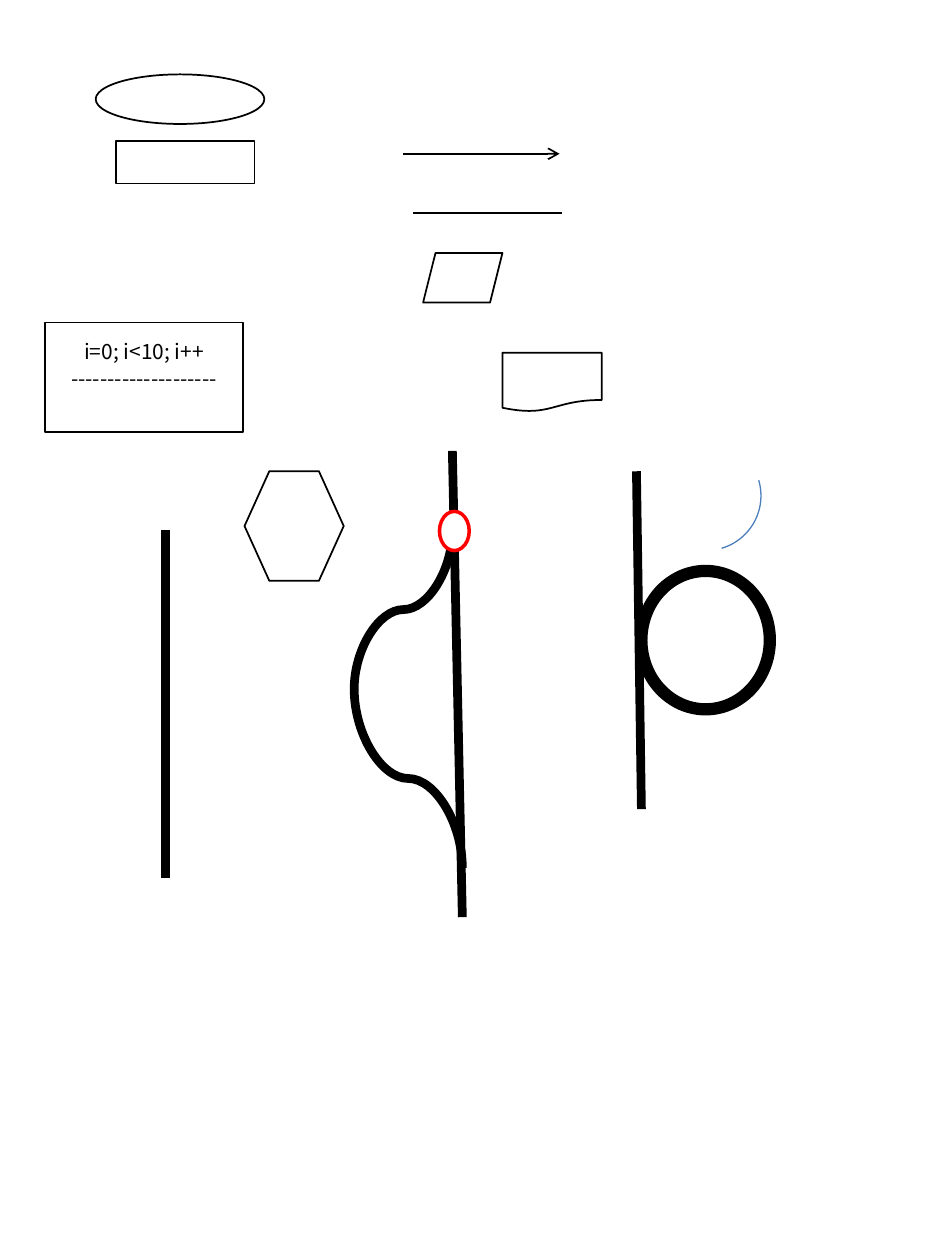
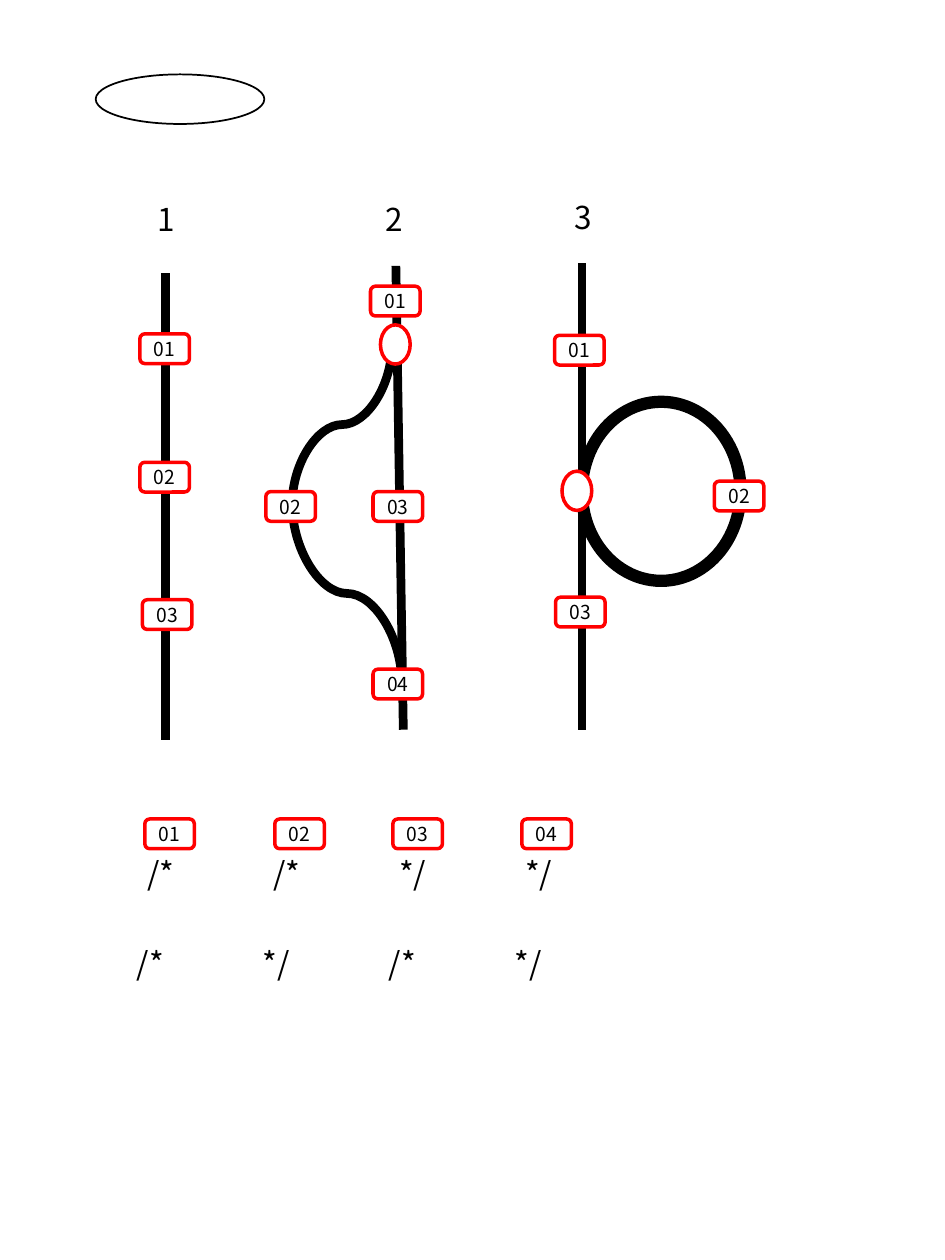
from dataclasses import dataclass

import pptx
import pptx.dml.color
import pptx.enum.shapes
import pptx.enum.text
import pptx.oxml.ns
import pptx.util

Cm, Pt = pptx.util.Cm, pptx.util.Pt
Preset = pptx.enum.shapes.MSO_SHAPE
Wire = pptx.enum.shapes.MSO_CONNECTOR
Align = pptx.enum.text.PP_ALIGN


@dataclass(frozen=True)
class Theme:
    ink: str = "000000"
    paper: str = "FFFFFF"
    accent: str = "FF0000"
    arc: str = "4B7EBC"
    font: str = "Noto Sans CJK KR"
    heading: float = 18
    code: float = 12
    label: float = 11
    hairline: float = 0.75
    thin: float = 1
    marker: float = 2
    track: float = 5
    loop: float = 7


THEME = Theme()

# All places are in centimetres.
START_OVAL = (1.93, 1.5, 3.4, 1)
NODE_SIZE = (0.6, 0.79)
BADGE_SIZE = (1, 0.6)

LOOP_CODE = ["i=0; i<10; i++", "--------------------"]
CODE_BOX = (0.91, 6.5, 3.99, 2.21)
SYMBOLS = [
    (Preset.RECTANGLE, (2.34, 2.84, 2.79, 0.86)),
    (Preset.FLOWCHART_DOCUMENT, (10.13, 7.11, 2, 1.19)),
    (Preset.PARALLELOGRAM, (8.53, 5.1, 1.6, 1)),
    (Preset.HEXAGON, (4.93, 9.5, 2, 2.21)),
]
FLOW_ARROW = (8.13, 3.1, 11.28, 3.1)
FLOW_LINE = (8.33, 4.29, 11.33, 4.29)
ARC_BOX, ARC_TURN = (13.13, 8.89, 2.21, 2.21), 73.6

SYMBOL_PATHS = {
    "tracks": [(9.12, 9.09, 9.32, 18.49), (12.83, 9.5, 12.93, 16.31), (3.33, 10.69, 3.33, 17.7)],
    "branches": [(9.12, 10.69, 7.14, 13.89), (9.32, 17.5, 7.14, 13.89)],
    "loops": [(12.93, 11.51, 2.59, 2.79)],
    "nodes": [(8.86, 10.31)],
}
NUMBERED_PATHS = {
    "tracks": [(7.98, 5.36, 8.13, 14.71), (3.33, 5.51, 3.33, 14.91), (11.73, 5.31, 11.73, 14.71)],
    "branches": [(7.9, 6.96, 5.89, 10.16), (8.1, 13.77, 5.89, 10.16)],
    "loops": [(11.73, 8.1, 3.2, 3.61)],
    "nodes": [(7.67, 6.55), (11.33, 9.5)],
}
PATH_TITLES = [("1", 2.92, 3.91), ("2", 7.52, 3.91), ("3", 11.33, 3.86)]
STEPS = {
    "1": [("01", 2.82, 6.73), ("02", 2.82, 9.32), ("03", 2.87, 12.09)],
    "2": [("01", 7.47, 5.77), ("02", 5.36, 9.91), ("03", 7.52, 9.91), ("04", 7.52, 13.49)],
    "3": [("01", 11.18, 6.76), ("02", 14.4, 9.7), ("03", 11.2, 12.04)],
    "legend": [("01", 2.92, 16.51), ("02", 5.54, 16.51), ("03", 7.92, 16.51), ("04", 10.52, 16.51)],
}
COMMENT_MARKS = [
    (["/*", "/*", "*/", "*/"], 2.72, 17.09),
    (["/*", "*/", "/*", "*/"], 2.51, 18.9),
]
MARK_STEP = 2.54


def rgb(value):
    return pptx.dml.color.RGBColor.from_string(value)


def add_element(parent, tag, **attributes):
    element = parent.makeelement(pptx.oxml.ns.qn(tag), attributes)
    parent.append(element)
    return element


def stroke(line, color, width):
    line.color.rgb = rgb(color)
    line.width = Pt(width)


def write(paragraph, text, size, align=Align.LEFT):
    paragraph.alignment = align
    run = paragraph.add_run()
    run.text = text
    run.font.name = THEME.font
    run.font.size = Pt(size)
    run.font.color.rgb = rgb(THEME.ink)


def outline(slide, preset, box, color=THEME.ink, width=THEME.thin, filled=True):
    shape = slide.shapes.add_shape(preset, *map(Cm, box))
    shape.shadow.inherit = False
    if filled:
        shape.fill.solid()
        shape.fill.fore_color.rgb = rgb(THEME.paper)
    else:
        shape.fill.background()
    stroke(shape.line, color, width)
    return shape


def wire(slide, ends, width, kind=Wire.STRAIGHT):
    connector = slide.shapes.add_connector(kind, *map(Cm, ends))
    stroke(connector.line, THEME.ink, width)
    add_element(connector._element.spPr, "a:effectLst")
    return connector


def branch(slide, x1, y1, x2, y2):
    """Draw an S-curve that leaves and arrives vertically, bending to the left."""
    middle_x, middle_y = (x1 + x2) / 2, (y1 + y2) / 2
    half_w, half_h = abs(y2 - y1) / 2, abs(x2 - x1) / 2
    downward = y2 > y1
    rise = -half_h if downward else half_h
    ends = (middle_x - half_w, middle_y + rise, middle_x + half_w, middle_y - rise)
    curve = wire(slide, ends, THEME.track, Wire.CURVE)
    turn = 90 if downward else 270
    curve._element.spPr.find(pptx.oxml.ns.qn("a:xfrm")).set("rot", str(turn * 60000))


def draw_paths(slide, paths):
    for ends in paths["tracks"]:
        wire(slide, ends, THEME.track)
    for ends in paths["branches"]:
        branch(slide, *ends)
    for box in paths["loops"]:
        outline(slide, Preset.OVAL, box, width=THEME.loop, filled=False)
    for corner in paths["nodes"]:
        outline(slide, Preset.OVAL, corner + NODE_SIZE, THEME.accent, THEME.marker)


def badge(slide, number, left, top):
    step = outline(slide, Preset.ROUNDED_RECTANGLE, (left, top) + BADGE_SIZE,
                   THEME.accent, THEME.marker)
    frame = step.text_frame
    frame.margin_left = frame.margin_right = 0
    frame.vertical_anchor = pptx.enum.text.MSO_ANCHOR.MIDDLE
    write(frame.paragraphs[0], number, THEME.label, Align.CENTER)


def caption(slide, text, left, top, width):
    frame = slide.shapes.add_textbox(*map(Cm, (left, top, width, 1.02))).text_frame
    frame.word_wrap = True
    frame.auto_size = pptx.enum.text.MSO_AUTO_SIZE.SHAPE_TO_FIT_TEXT
    paragraph = frame.paragraphs[0]
    if "\t" in text:
        stops = add_element(paragraph._p.get_or_add_pPr(), "a:tabLst")
        for index in range(1, text.count("\t") + 1):
            add_element(stops, "a:tab", pos=str(Cm(MARK_STEP * index)), algn="l")
    write(paragraph, text, THEME.heading)


def draw_code_box(slide):
    frame = outline(slide, Preset.RECTANGLE, CODE_BOX).text_frame
    frame.vertical_anchor = pptx.enum.text.MSO_ANCHOR.MIDDLE
    frame.margin_bottom = Cm(0.65)
    for index, code in enumerate(LOOP_CODE):
        paragraph = frame.add_paragraph() if index else frame.paragraphs[0]
        paragraph.line_spacing = Pt(15)
        write(paragraph, code, THEME.code, Align.CENTER)


def draw_symbols(slide):
    draw_code_box(slide)
    for preset, box in SYMBOLS:
        outline(slide, preset, box)
    arrow = wire(slide, FLOW_ARROW, THEME.thin)
    add_element(arrow._element.spPr.get_or_add_ln(), "a:tailEnd", type="arrow")
    wire(slide, FLOW_LINE, THEME.thin)
    arc = outline(slide, Preset.ARC, ARC_BOX, THEME.arc, THEME.hairline, filled=False)
    arc.rotation = ARC_TURN
    draw_paths(slide, SYMBOL_PATHS)


def draw_numbered_paths(slide):
    draw_paths(slide, NUMBERED_PATHS)
    for title, left, top in PATH_TITLES:
        caption(slide, title, left, top, 1.19)
    for marks, left, top in COMMENT_MARKS:
        caption(slide, "\t".join(marks), left, top, 13.21)
    for steps in STEPS.values():
        for step in steps:
            badge(slide, *step)


def main():
    deck = pptx.Presentation()
    deck.slide_width, deck.slide_height = Cm(19.05), Cm(25.4)
    for draw in (draw_symbols, draw_numbered_paths):
        slide = deck.slides.add_slide(deck.slide_layouts[6])
        outline(slide, Preset.OVAL, START_OVAL)
        draw(slide)
    deck.save("out.pptx")


if __name__ == "__main__":
    main()
